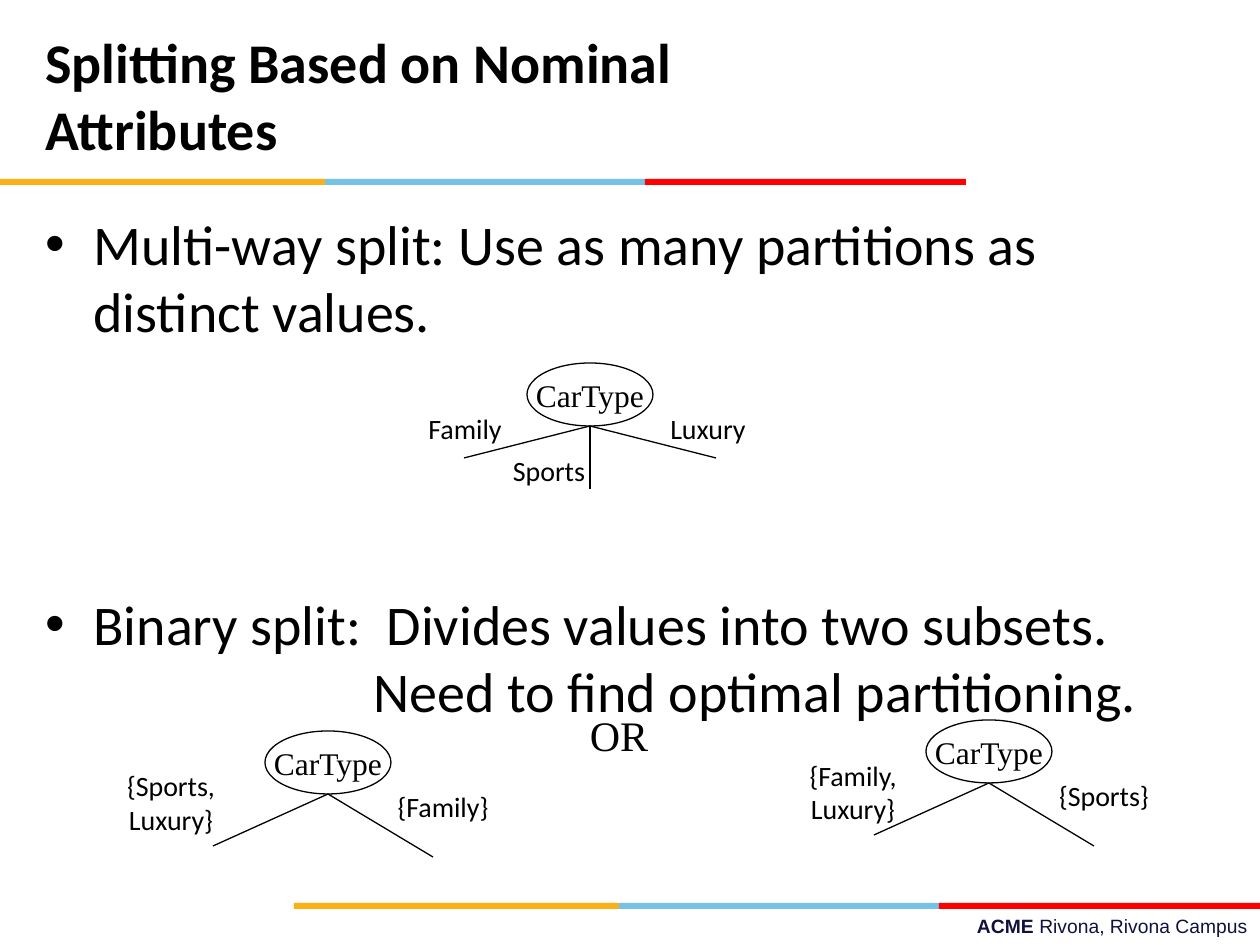
import pptx
import pptx.dml.color
import pptx.enum.shapes
import pptx.enum.text
import pptx.util
from lxml import etree

SHAPE = pptx.enum.shapes.MSO_SHAPE
ALIGN = pptx.enum.text.PP_ALIGN
ANCHOR = pptx.enum.text.MSO_ANCHOR
EMU_PER_PX = 914400 / 126

THEME = {
    "black": "000000", "white": "FFFFFF", "footer": "101141",
    "stripe": ("FCB017", "76C2E5", "FF0000"),
    "sans": "Calibri", "serif": "Times New Roman", "footer_font": "Arial",
    "heading": 32, "or": 24, "node": 18, "label": 16, "footer_size": 11,
    "line": 0.75,
}

TITLE = "Splitting Based on Nominal Attributes"
# text, bulleted, left margin in px, space before in points
BODY = [
    ("Multi-way split: Use as many partitions as distinct values.", True, 48, 0),
    ("Binary split:  Divides values into two subsets.", True, 48, 140.5),
    ("Need to find optimal partitioning.", False, 328, 0),
]
FOOTER = [("ACME ", True), ("Rivona, Rivona Campus", False)]

# left and top of each three-colour stripe
STRIPES = [(294, 903), (0, 179)]
STRIPE_EDGES = (0, 325, 645, 966)
STRIPE_HEIGHT = 6

# Branch ends and label centres are measured from the foot of the node.
NODE = "CarType"
NODE_SIZE = (126, 63)
MULTI_WAY = [(-126, 32), (0, 63), (126, 32)]
BINARY = [(-115, 52), (105, 63)]
# foot of node, branch ends, labels (text, centre offset, width)
TREES = [
    ((590, 426), MULTI_WAY,
     [("Family", (-125, 2), 107), ("Sports", (-41, 44), 107), ("Luxury", (118, 2), 107)]),
    ((989, 783), BINARY,
     [("{Family,\vLuxury}", (-136, 9), 132), ("{Sports}", (115, 12), 126)]),
    ((328, 794), BINARY,
     [("{Sports,\vLuxury}", (-157, 8), 130), ("{Family}", (115, 12), 126)]),
]


def px(value):
    return pptx.util.Emu(round(value * EMU_PER_PX))


def color(value):
    return pptx.dml.color.RGBColor.from_string(value)


def set_font(font, name, size, value=THEME["black"], bold=False):
    font.name = name
    font.size = pptx.util.Pt(size)
    font.color.rgb = color(value)
    font.bold = bold


def add_text(slide, box, text, name, size, align=ALIGN.CENTER, wrap=False, bold=False):
    shape = slide.shapes.add_textbox(*map(px, box))
    frame = shape.text_frame
    frame.word_wrap = wrap
    frame.vertical_anchor = ANCHOR.MIDDLE
    paragraph = frame.paragraphs[0]
    paragraph.text = text
    paragraph.alignment = align
    set_font(paragraph.font, name, size, bold=bold)


def add_preset(slide, kind, box, fill):
    shape = slide.shapes.add_shape(kind, *map(px, box))
    shape.shadow.inherit = False
    shape.fill.solid()
    shape.fill.fore_color.rgb = color(fill)
    shape.line.fill.background()
    return shape


def add_stripe(slide, left, top):
    for start, end, fill in zip(STRIPE_EDGES, STRIPE_EDGES[1:], THEME["stripe"]):
        add_preset(slide, SHAPE.RECTANGLE,
                   (left + start, top, end - start, STRIPE_HEIGHT), fill)


def add_footer(slide):
    frame = slide.shapes.add_textbox(*map(px, (451, 908, 809, 37))).text_frame
    frame.word_wrap = True
    paragraph = frame.paragraphs[0]
    paragraph.alignment = ALIGN.RIGHT
    for text, bold in FOOTER:
        run = paragraph.add_run()
        run.text = text
        set_font(run.font, THEME["footer_font"], THEME["footer_size"],
                 THEME["footer"], bold)


def add_body(slide):
    frame = slide.shapes.add_textbox(*map(px, (33, 203, 1155, 514))).text_frame
    frame.word_wrap = True
    for index, (text, bulleted, margin, space) in enumerate(BODY):
        paragraph = frame.add_paragraph() if index else frame.paragraphs[0]
        paragraph.text = text
        paragraph.space_before = pptx.util.Pt(space)
        set_font(paragraph.font, THEME["sans"], THEME["heading"])
        properties = paragraph._p.get_or_add_pPr()
        properties.set("marL", str(px(margin)))
        if bulleted:
            properties.set("indent", str(px(-margin)))
            # Bullet elements must stand before the default run properties.
            default_run = properties.find(pptx.oxml.ns.qn("a:defRPr"))
            etree.SubElement(properties, pptx.oxml.ns.qn("a:buFont"), typeface="Arial")
            etree.SubElement(properties, pptx.oxml.ns.qn("a:buChar"), char="•")
            properties.append(default_run)


def add_branch(slide, start, end):
    connector = slide.shapes.add_connector(
        pptx.enum.shapes.MSO_CONNECTOR.STRAIGHT, *map(px, (*start, *end)))
    connector.line.color.rgb = color(THEME["black"])
    connector.line.width = pptx.util.Pt(THEME["line"])
    etree.SubElement(connector._element.spPr, pptx.oxml.ns.qn("a:effectLst"))


def add_tree(slide, foot, ends, labels):
    x, y = foot
    width, height = NODE_SIZE
    node = add_preset(slide, SHAPE.OVAL, (x - width / 2, y - height, width, height),
                      THEME["white"])
    node.line.color.rgb = color(THEME["black"])
    node.line.width = pptx.util.Pt(THEME["line"])
    frame = node.text_frame
    frame.word_wrap = False
    frame.vertical_anchor = ANCHOR.MIDDLE
    paragraph = frame.paragraphs[0]
    paragraph.text = NODE
    paragraph.alignment = ALIGN.CENTER
    set_font(paragraph.font, THEME["serif"], THEME["node"])

    for dx, dy in ends:
        add_branch(slide, foot, (x + dx, y + dy))
    for text, (dx, dy), label_width in labels:
        label_height = 81 if "\v" in text else 47
        box = (x + dx - label_width / 2, y + dy - label_height / 2,
               label_width, label_height)
        add_text(slide, box, text, THEME["sans"], THEME["label"])


def main():
    presentation = pptx.Presentation()
    presentation.slide_width = px(1260)
    presentation.slide_height = px(945)
    slide = presentation.slides.add_slide(presentation.slide_layouts[6])
    add_footer(slide)
    for left, top in STRIPES:
        add_stripe(slide, left, top)
    add_text(slide, (33, 32, 776, 126), TITLE, THEME["sans"], THEME["heading"],
             ALIGN.LEFT, wrap=True, bold=True)
    add_body(slide)
    for tree in TREES:
        add_tree(slide, *tree)
    add_text(slide, (569, 703, 100, 63), "OR", THEME["serif"], THEME["or"])
    presentation.save("out.pptx")


if __name__ == "__main__":
    main()
